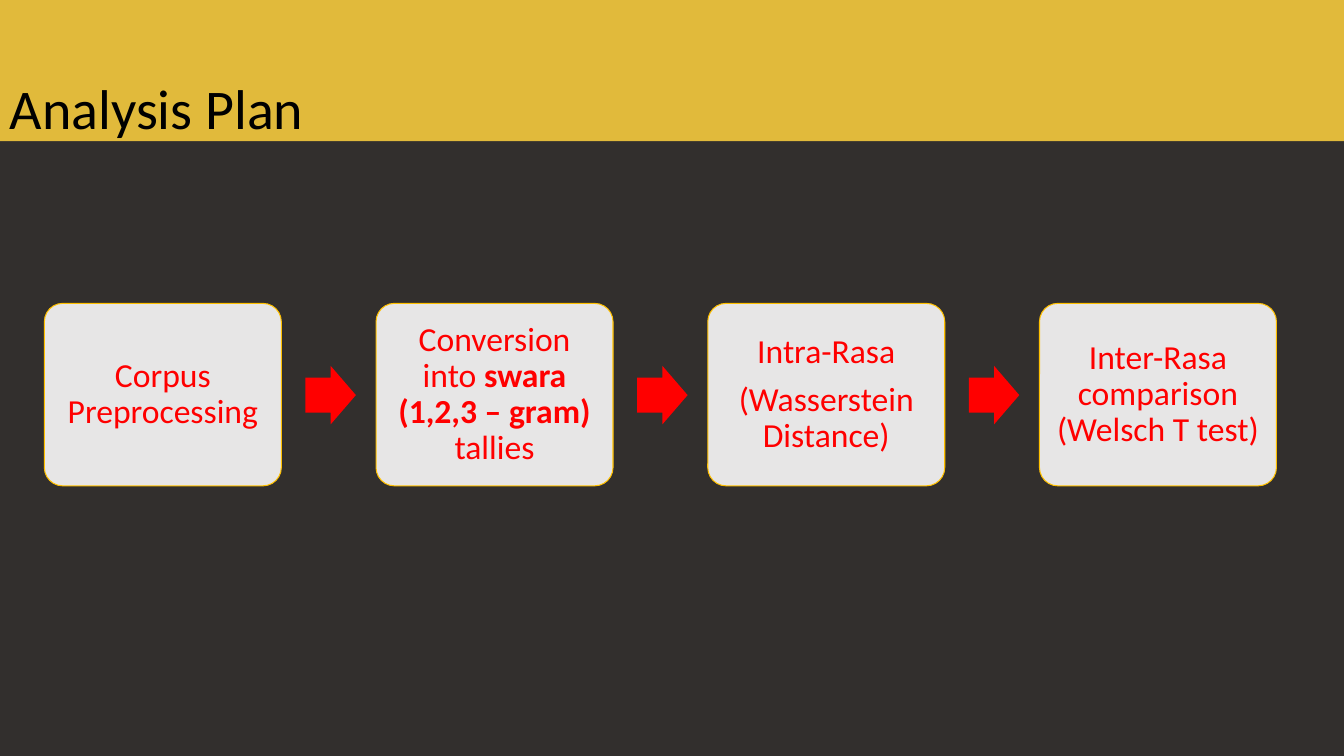
from pptx import Presentation
from pptx.dml.color import RGBColor
from pptx.enum.shapes import MSO_SHAPE
from pptx.enum.text import MSO_ANCHOR, PP_ALIGN
from pptx.util import Inches, Pt

THEME = {
    "background": RGBColor.from_string("322F2D"),
    "band": RGBColor.from_string("E1BA3B"),
    "card": RGBColor.from_string("E7E6E6"),
    "card_line": RGBColor.from_string("FFC000"),
    "accent": RGBColor.from_string("FF0000"),
    "title": RGBColor.from_string("000000"),
    "font": "Calibri",
    "title_size": Pt(40),
    "step_size": Pt(24),
}

STEPS = [
    [[("Corpus Preprocessing", False)]],
    [[("Conversion into ", False), ("swara (1,2,3 – gram) ", True), ("tallies", False)]],
    [[("Intra-Rasa", False)], [("(Wasserstein Distance)", False)]],
    [[("Inter-Rasa comparison (Welsch T test)", False)]],
]
FIRST_LEFT, PITCH = 0.44, 3.29
CARD_FRAME = {"word_wrap": True, "vertical_anchor": MSO_ANCHOR.MIDDLE,
              "margin_left": Inches(0.1), "margin_right": Inches(0.1),
              "margin_top": Inches(0.1), "margin_bottom": Inches(0.1)}
STEP_PARAGRAPH = {"alignment": PP_ALIGN.CENTER, "line_spacing": 0.9, "space_after": Pt(8.4)}


def add_filled(s, kind, box, color):
    sp = s.shapes.add_shape(kind, *[Inches(v) for v in box])
    sp.shadow.inherit = False
    sp.fill.solid()
    sp.fill.fore_color.rgb = color
    sp.line.fill.background()
    return sp


def add_text(p, text, size, color, bold=False):
    r = p.add_run()
    r.text = text
    for name, value in {"name": THEME["font"], "size": size, "bold": bold}.items():
        setattr(r.font, name, value)
    r.font.color.rgb = color


prs = Presentation()
prs.slide_width, prs.slide_height = Inches(13.33), Inches(7.5)
s = prs.slides.add_slide(prs.slide_layouts[6])
s.background.fill.solid()
s.background.fill.fore_color.rgb = THEME["background"]

add_filled(s, MSO_SHAPE.RECTANGLE, (0, 0, 13.33, 1.4), THEME["band"])

title = s.shapes.add_textbox(Inches(0), Inches(0.38), Inches(11.5), Inches(1.45))
tf = title.text_frame
tf.word_wrap = True
tf.vertical_anchor = MSO_ANCHOR.MIDDLE
tf.paragraphs[0].line_spacing = 0.9
add_text(tf.paragraphs[0], "Analysis Plan", THEME["title_size"], THEME["title"])

for i, paragraphs in enumerate(STEPS):
    left = FIRST_LEFT + i * PITCH
    card = add_filled(s, MSO_SHAPE.ROUNDED_RECTANGLE, (left, 3.01, 2.35, 1.81), THEME["card"])
    card.adjustments[0] = 0.1
    card.line.color.rgb = THEME["card_line"]
    card.line.width = Pt(0.75)
    tf = card.text_frame
    for name, value in CARD_FRAME.items():
        setattr(tf, name, value)
    for j, runs in enumerate(paragraphs):
        p = tf.add_paragraph() if j else tf.paragraphs[0]
        for name, value in STEP_PARAGRAPH.items():
            setattr(p, name, value)
        for text, bold in runs:
            add_text(p, text, THEME["step_size"], THEME["accent"], bold)
    if i < len(STEPS) - 1:
        arrow = add_filled(s, MSO_SHAPE.RIGHT_ARROW, (left + 2.59, 3.63, 0.5, 0.58), THEME["accent"])
        arrow.adjustments[0] = 0.6
        arrow.adjustments[1] = 0.5

prs.save("out.pptx")
